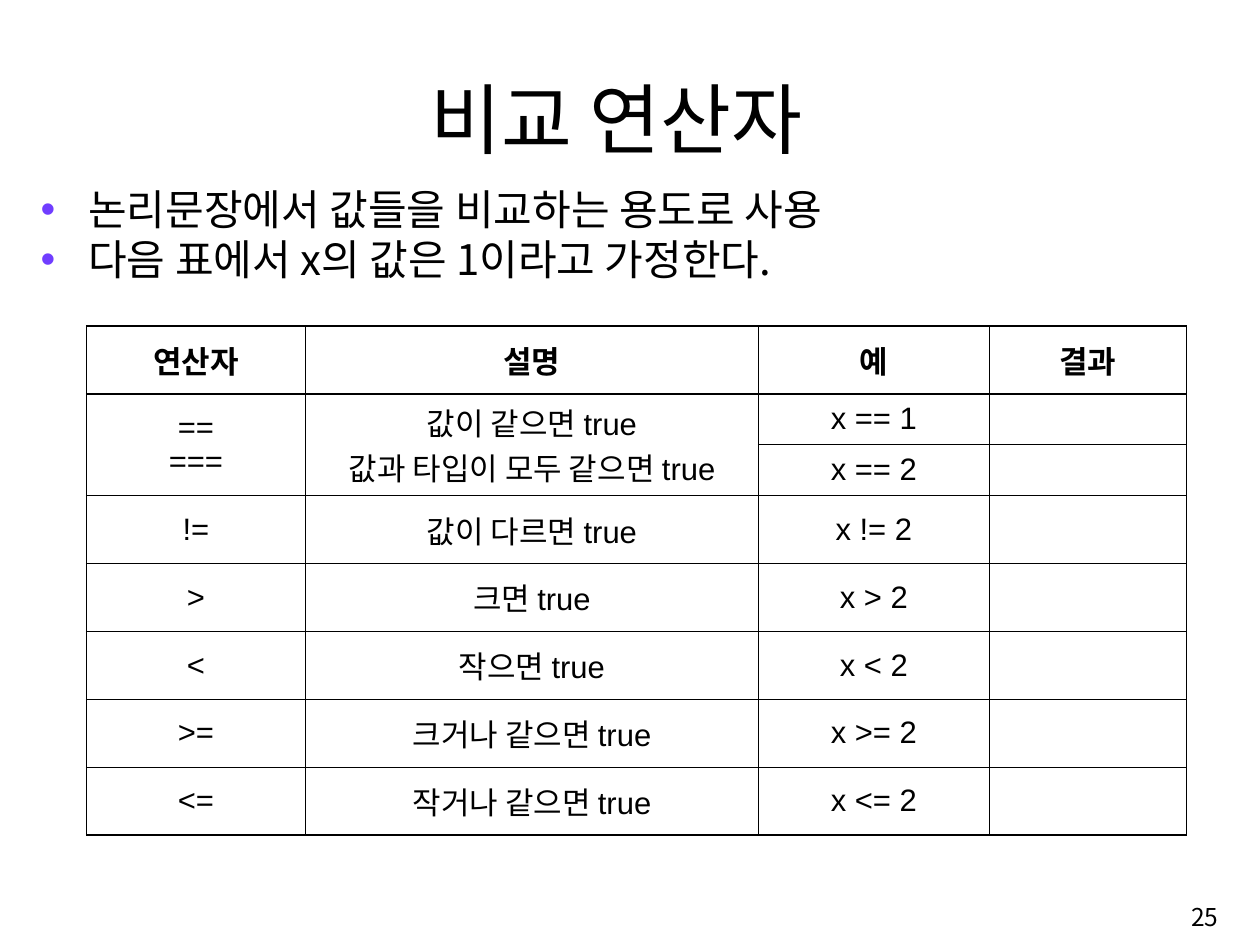
from pptx import Presentation, util as u
from pptx.dml.color import RGBColor
from pptx.enum import text
from pptx.oxml import parse_xml
from pptx.oxml.ns import nsdecls

INK = {"text": "000000", "dot": "703DFF"}
KOR = "Noto Sans CJK KR"
MID = text.MSO_ANCHOR.MIDDLE
MARK = text.PP_ALIGN

deck = Presentation()
deck.slide_width, deck.slide_height = u.Inches(12.99), u.Inches(9.74)
unit = deck.slide_width / 129.9


def span(*cells):
    return [round(n * unit) for n in cells]


def style(frame, size, face, align, bold=False):
    for par in frame.paragraphs:
        par.alignment = align
        for run in par.runs:
            font = run.font
            font.size, font.bold, font.name = u.Pt(size), bold, face
            font.color.rgb = RGBColor.from_string(INK["text"])
            run._r.get_or_add_rPr().append(
                parse_xml(f'<a:ea {nsdecls("a")} typeface="{KOR}"/>'))


slide = deck.slides.add_slide(deck.slide_layouts[1])
title, body = slide.placeholders
title.left, title.top, title.width, title.height = span(10.5, 6.1, 106.1, 10.8)
body.left, body.top, body.width, body.height = span(3.2, 18.9, 123.2, 70.6)

for box in (title, body):
    frame = box.text_frame
    frame.auto_size = text.MSO_AUTO_SIZE.NONE
    frame.margin_top = frame.margin_bottom = 0

title.text_frame.text = "비교 연산자"
title.text_frame.vertical_anchor = text.MSO_ANCHOR.BOTTOM
style(title.text_frame, 57.2, KOR, MARK.CENTER)

body.text_frame.text = "논리문장에서 값들을 비교하는 용도로 사용\n다음 표에서 x의 값은 1이라고 가정한다."
for par in body.text_frame.paragraphs:
    par.space_before, par.line_spacing = u.Pt(0), 1.0
    prop = par._p.get_or_add_pPr()
    prop.set("marL", str(u.Inches(0.49)))
    prop.set("indent", str(-u.Inches(0.49)))
    prop.append(parse_xml(
        f'<a:buClr {nsdecls("a")}><a:srgbClr val="{INK["dot"]}"/></a:buClr>'))
    prop.append(parse_xml(f'<a:buChar {nsdecls("a")} char="•"/>'))
style(body.text_frame, 31.2, KOR, MARK.LEFT)

rows = [
    ("연산자", "설명", "예", "결과"),
    ("==\n===", "값이 같으면 true\n값과 타입이 모두 같으면 true", "x == 1", ""),
    ("", "", "x == 2", ""),
    ("!=", "값이 다르면 true", "x != 2", ""),
    (">", "크면 true", "x > 2", ""),
    ("<", "작으면 true", "x < 2", ""),
    (">=", "크거나 같으면 true", "x >= 2", ""),
    ("<=", "작거나 같으면 true", "x <= 2", ""),
]
table = slide.shapes.add_table(
    len(rows), len(rows[0]), *span(8.9, 33.6, 113.4, 52.5)).table
table.horz_banding = False
for col, wide in zip(table.columns, span(22.6, 46.7, 23.8, 20.3)):
    col.width = wide
for y, row in enumerate(rows):
    table.rows[y].height = span(5.2 if y in (1, 2) else 7)[0]
    for x, words in enumerate(row):
        cell = table.cell(y, x)
        cell.text_frame.text = words
        cell.vertical_anchor = MID
        cell.margin_left = cell.margin_right = u.Inches(0.13)
        cell.margin_top = cell.margin_bottom = u.Inches(0.06)
        style(cell.text_frame, 23, "Arial", MARK.CENTER, y == 0)
        prop = cell._tc.get_or_add_tcPr()
        for side in "LRTB":
            thick = (side == "T" and y < 2) or (side == "B" and y == 0)
            prop.append(parse_xml(
                f'<a:ln{side} {nsdecls("a")} w="{u.Pt(1.5 if thick else 1)}"><a:solidFill>'
                f'<a:srgbClr val="{INK["text"]}"/></a:solidFill></a:ln{side}>'))
        cell.fill.background()
for x in range(2):
    table.cell(1, x).merge(table.cell(2, x))

page = slide.shapes.add_textbox(*span(99.8, 91.5, 26.8, 6)).text_frame
page.word_wrap = True
page.vertical_anchor = MID
page.text = "25"
style(page, 18.2, KOR, MARK.RIGHT)

deck.save("out.pptx")
